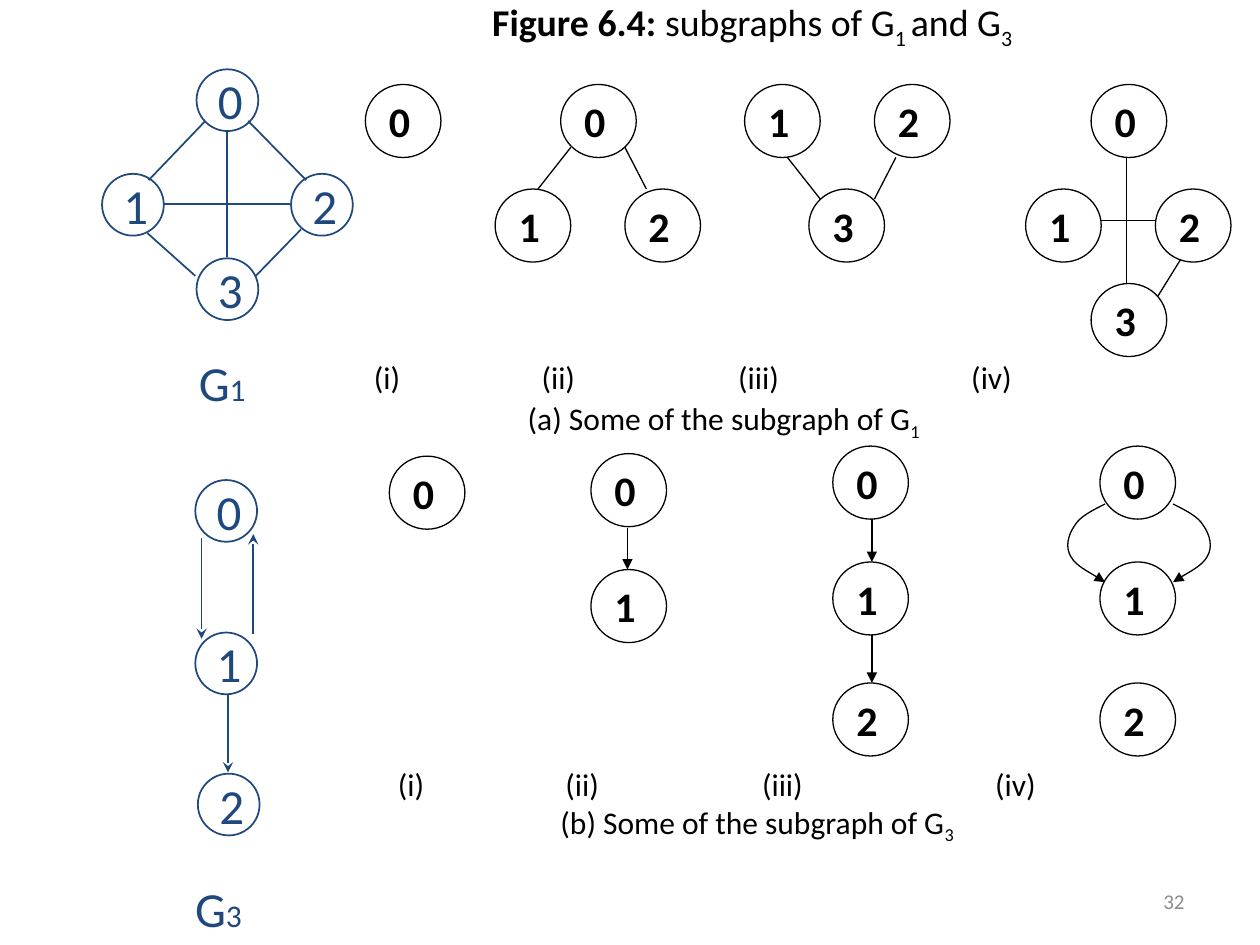
from lxml import etree
from pptx import Presentation
from pptx.dml.color import RGBColor
from pptx.enum.shapes import MSO_CONNECTOR as Connector, MSO_SHAPE as Shape
from pptx.enum.text import MSO_ANCHOR as Anchor, PP_ALIGN as Align
from pptx.oxml.ns import qn
from pptx.util import Inches, Pt

COLORS = {"ink": "000000", "navy": "1F497D", "paper": "FFFFFF", "gray": "8C8C8C"}
FONT = "Calibri"
COLUMNS, ROWS = 100, 75
WIDTH, HEIGHT = Inches(10), Inches(7.5)
SUBGRAPH = {"color": "ink", "fill": None, "size": 24, "bold": True,
            "line": 0.75, "node": (6, 5.8), "head": "triangle"}
GRAPH = {"color": "navy", "fill": "paper", "size": 28, "bold": False,
         "line": 1, "node": (4.9, 4.9), "head": "stealth"}


def across(columns):
    return round(WIDTH * columns / COLUMNS)


def down(rows):
    return round(HEIGHT * rows / ROWS)


def rgb(name):
    return RGBColor.from_string(COLORS[name])


def write(para, spans, color, size):
    for text, changes in spans:
        span = para.add_run()
        span.text = text
        font = span.font
        font.name, font.color.rgb = FONT, rgb(color)
        font.size = Pt(changes.get("size", size))
        font.bold = changes.get("bold", False)
        if changes.get("sub"):
            span._r.get_or_add_rPr().set("baseline", "-25000")


def add_text(page, box, spans, color, size, align=Align.LEFT, anchor=Anchor.MIDDLE):
    left, top, width, height = box
    shape = page.shapes.add_textbox(across(left), down(top), across(width), down(height))
    frame = shape.text_frame
    frame.word_wrap = True
    frame.vertical_anchor = anchor
    para = frame.paragraphs[0]
    para.alignment = align
    write(para, spans, color, size)
    return frame


def style_line(line, style, arrow):
    line.color.rgb = rgb(style["color"])
    line.width = Pt(style["line"])
    if arrow:
        etree.SubElement(line._get_or_add_ln(), qn("a:tailEnd"), type=style["head"])


def add_node(page, left, top, label, style):
    width, height = style["node"]
    node = page.shapes.add_shape(Shape.OVAL, across(left), down(top),
                                 across(width), down(height))
    node.shadow.inherit = False
    if style["fill"]:
        node.fill.solid()
        node.fill.fore_color.rgb = rgb(style["fill"])
    else:
        node.fill.background()
    style_line(node.line, style, False)
    frame = node.text_frame
    frame.word_wrap = False
    frame.vertical_anchor = Anchor.MIDDLE
    para = frame.paragraphs[0]
    para.alignment = Align.LEFT
    write(para, [(label, {"bold": style["bold"]})], style["color"], style["size"])


def add_edge(page, start, end, style, arrow):
    edge = page.shapes.add_connector(Connector.STRAIGHT, across(start[0]), down(start[1]),
                                     across(end[0]), down(end[1]))
    style_line(edge.line, style, arrow)
    etree.SubElement(edge._element.spPr, qn("a:effectLst"))


def add_curve(page, points, style):
    corners = [(across(x), down(y)) for x, y in points]
    builder = page.shapes.build_freeform(*corners[0], scale=1.0)
    builder.add_line_segments(corners[1:], close=False)
    curve = builder.convert_to_shape()
    curve.shadow.inherit = False
    curve.fill.background()
    style_line(curve.line, style, True)
    outline = curve._element.find(".//" + qn("a:path"))
    segments = outline.findall(qn("a:lnTo"))
    for first in range(0, len(segments), 3):
        bezier = etree.SubElement(outline, qn("a:cubicBezTo"))
        for segment in segments[first:first + 3]:
            bezier.append(segment[0])
            outline.remove(segment)


def draw_graph(page, box, style, nodes, edges=(), arrow=False):
    left, top = box
    for label, x, y in nodes:
        add_node(page, left + x, top + y, label, style)
    for x1, y1, x2, y2 in edges:
        add_edge(page, (left + x1, top + y1), (left + x2, top + y2), style, arrow)


def draw_loop(page, box):
    left, top = box
    draw_graph(page, box, SUBGRAPH, [("0", 0, 0), ("1", 0, 9.2), ("2", 0, 18.8)])
    bulge = [(0.4, 4.6), (-0.6, 5.1), (-1.6, 5.6), (-2, 6.3), (-2.5, 7),
             (-2.8, 8), (-2.3, 8.8), (-1.9, 9.5), (0, 10.5), (0.4, 10.8)]
    middle = 3.1
    for side in (1, -1):
        points = [(left + middle + side * (x - middle), top + y) for x, y in bulge]
        add_curve(page, points, SUBGRAPH)


def add_captions(page, box, caption, index, indent, gap):
    frame = add_text(page, box, [("(i)\t(ii)\t(iii)\t(iv)", {})], "ink", 18,
                     anchor=Anchor.TOP)
    tabs = etree.SubElement(frame.paragraphs[0]._p.get_or_add_pPr(), qn("a:tabLst"))
    for stop in (13.3, 28.9, 47.4):
        etree.SubElement(tabs, qn("a:tab"), pos=str(across(stop)), algn="l")
    para = frame.add_paragraph()
    para.space_before = Pt(gap)
    para._p.get_or_add_pPr().set("marL", str(across(indent)))
    write(para, [(caption, {}), (index, {"sub": True})], "ink", 18)


def add_graph_name(page, box, index):
    add_text(page, box, [("G", {}), (index, {"size": 18})], "navy", 28)


def draw_first_row(page):
    draw_graph(page, (8.1, 5.5), GRAPH,
               [("0", 7.5, 0), ("1", 0, 8.3), ("2", 15, 8.3), ("3", 7.5, 15)],
               [(9.9, 4.9, 9.9, 14.9), (4.9, 10.7, 14.9, 10.7), (8.2, 4.1, 3.7, 8.8),
                (11.6, 4.1, 16.2, 8.8), (3.6, 13, 7.4, 16.4), (15.8, 12.7, 12.2, 16.4)])
    add_graph_name(page, (14.8, 27.5, 7, 5.7), "1")
    draw_graph(page, (29, 6.7), SUBGRAPH, [("0", 0, 0)])
    draw_graph(page, (39.3, 6.7), SUBGRAPH,
               [("0", 5.2, 0), ("1", 0, 8.3), ("2", 10.3, 8.3)],
               [(6, 5, 3.4, 8.3), (10.3, 5, 12, 8.3)])
    draw_graph(page, (59.1, 6.7), SUBGRAPH,
               [("1", 0, 0), ("2", 10.3, 0), ("3", 5.1, 8.3)],
               [(6, 9.1, 3.4, 5.8), (10.3, 9.1, 12, 5.8)])
    draw_graph(page, (81.4, 6.7), SUBGRAPH,
               [("0", 5.2, 0), ("1", 0, 8.3), ("2", 10.3, 8.3), ("3", 5.2, 15.8)],
               [(6, 10.8, 10.3, 10.8), (8, 5.8, 8, 15.8), (12.3, 13.9, 10.5, 16.8)])
    add_captions(page, (28.7, 27.9, 65, 7.5), "(a) Some of the subgraph of G", "1", 12.2, 2)


def draw_second_row(page):
    draw_graph(page, (15.5, 38.1), GRAPH,
               [("0", 0, 0), ("1", 0, 12.1), ("2", 0.2, 23.3)],
               [(2.6, 17.1, 2.6, 23.2), (4.6, 12.2, 4.6, 4.3), (0.5, 4.6, 0.5, 12.6)], True)
    add_graph_name(page, (14.5, 69.2, 7, 5.7), "3")
    draw_graph(page, (30.9, 36.2), SUBGRAPH, [("0", 0, 0)])
    draw_graph(page, (46.9, 36), SUBGRAPH, [("0", 0, 0), ("1", 0, 9.2)],
               [(2.9, 5.9, 2.9, 9.2)], True)
    draw_graph(page, (66.1, 35.4), SUBGRAPH, [("0", 0, 0), ("1", 0, 9.2), ("2", 0, 18.8)],
               [(3.1, 5.8, 3.1, 9.2), (3.1, 15, 3.1, 18.8)], True)
    draw_loop(page, (87.3, 35.4))
    add_captions(page, (30.6, 60.2, 65, 7.2), "(b) Some of the subgraph of G", "3", 12.9, 0)


def draw_title(page):
    add_text(page, (17.2, 0, 85, 3.9),
             [("Figure 6.4: ", {"bold": True}), ("subgraphs of G", {}),
              ("1 ", {"sub": True}), ("and G", {}), ("3", {"sub": True})],
             "ink", 21.6, Align.CENTER)


def main():
    deck = Presentation()
    deck.slide_width, deck.slide_height = WIDTH, HEIGHT
    page = deck.slides.add_slide(deck.slide_layouts[6])
    draw_title(page)
    draw_first_row(page)
    draw_second_row(page)
    add_text(page, (71.7, 69.5, 23.3, 4), [("32", {})], "gray", 12, Align.RIGHT)
    deck.save("out.pptx")


if __name__ == "__main__":
    main()
